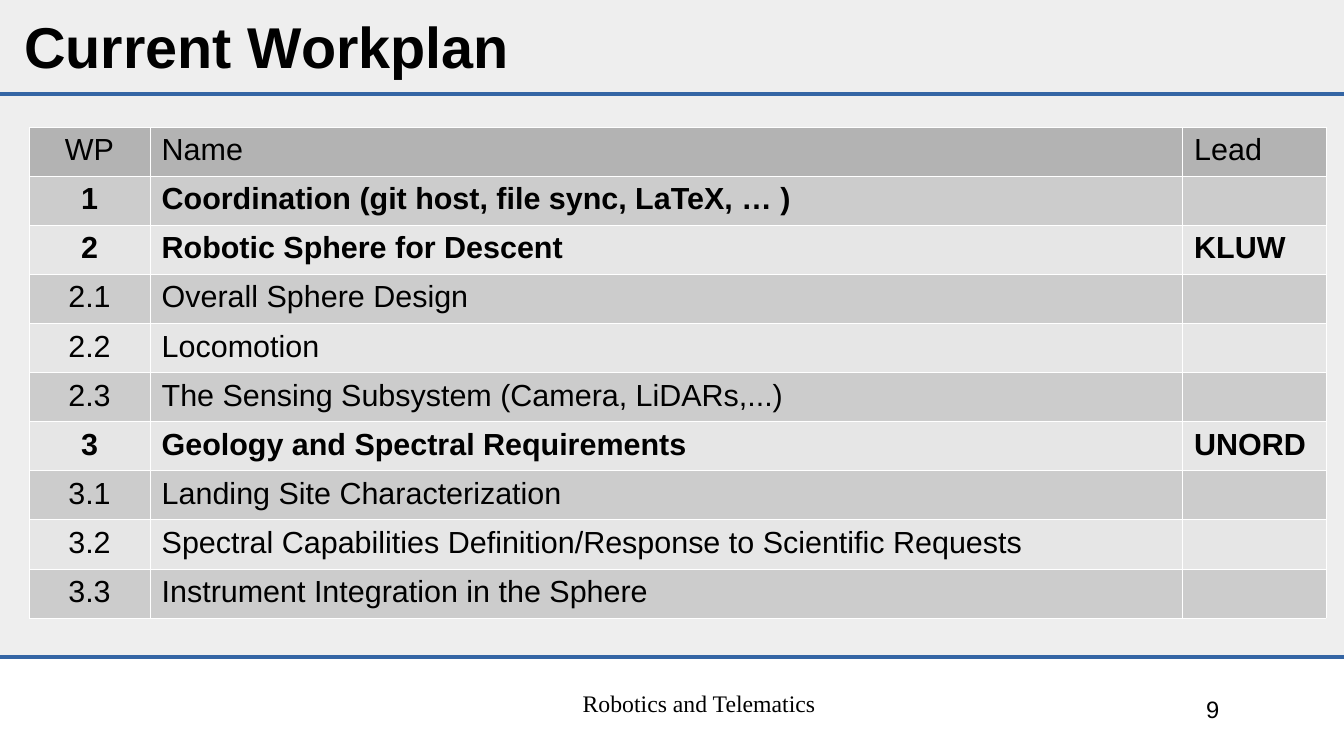
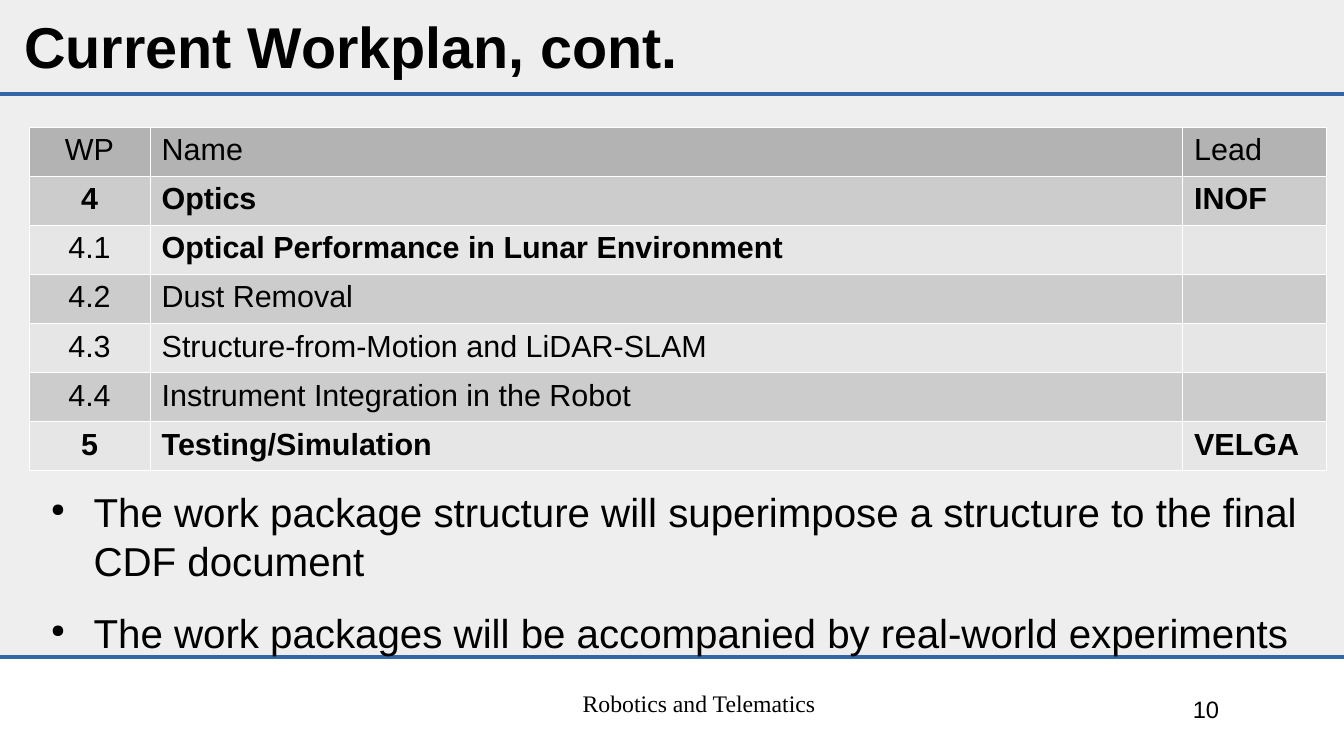
from dataclasses import dataclass
from typing import NamedTuple

from lxml import etree
from pptx import Presentation
from pptx.dml.color import RGBColor
from pptx.enum.shapes import MSO_CONNECTOR, MSO_SHAPE
from pptx.enum.text import MSO_ANCHOR, PP_ALIGN
from pptx.oxml.ns import qn
from pptx.util import Cm, Pt

LEFT, MID, RIGHT = PP_ALIGN.LEFT, PP_ALIGN.CENTER, PP_ALIGN.RIGHT
TOP, CENTER = MSO_ANCHOR.TOP, MSO_ANCHOR.MIDDLE
RECT, LINE = MSO_SHAPE.RECTANGLE, MSO_CONNECTOR.STRAIGHT


@dataclass(frozen=True)
class Theme:
    back: str = "EEEEEE"
    white: str = "FFFFFF"
    ink: str = "000000"
    rule: str = "3465A4"
    head: str = "B3B3B3"
    bands: tuple[str, str] = ("CCCCCC", "E6E6E6")
    sans: str = "Arial"
    serif: str = "Times New Roman"
    title: float = 34
    body: float = 23.8
    lead: float = 28.5
    gap: float = 14.2
    cell: float = 18
    foot: float = 14
    edge: float = 0.06


class Box(NamedTuple):
    left: float
    top: float
    width: float
    height: float


class Work(NamedTuple):
    code: str
    name: str
    lead: str = ""
    strong: bool = False  # bold name on a minor row


class Page(NamedTuple):
    number: int
    title: str
    works: list[Work]
    points: list[str]


# Layout in centimetres
THEME = Theme()
WIDE, HIGH = 28, 15.75
BAND = Box(0, 13.72, WIDE, 2.03)
RULES = (13.69, 1.96)
TITLE = Box(0.51, 0, 27.18, 1.88)
FOOT = Box(11.89, 14.22, 5.38, 0.79)
COUNT = Box(22.86, 14.35, 2.79, 0.76)
BODY = Box(0.76, 10.16, 26.67, 3.3)
GRID = (0.61, 2.64)
COLS = (2.51, 21.51, 3)
ROW = 1.02
PAD = (0.25, 0.13)

PAGES = [
    Page(9, "Current Workplan", [
        Work("1", "Coordination (git host, file sync, LaTeX, … )"),
        Work("2", "Robotic Sphere for Descent", "KLUW"),
        Work("2.1", "Overall Sphere Design"),
        Work("2.2", "Locomotion"),
        Work("2.3", "The Sensing Subsystem (Camera, LiDARs,...)"),
        Work("3", "Geology and Spectral Requirements", "UNORD"),
        Work("3.1", "Landing Site Characterization"),
        Work("3.2", "Spectral Capabilities Definition/Response to Scientific Requests"),
        Work("3.3", "Instrument Integration in the Sphere"),
    ], []),
    Page(10, "Current Workplan, cont.", [
        Work("4", "Optics", "INOF"),
        Work("4.1", "Optical Performance in Lunar Environment", strong=True),
        Work("4.2", "Dust Removal"),
        Work("4.3", "Structure-from-Motion and LiDAR-SLAM"),
        Work("4.4", "Instrument Integration in the Robot"),
        Work("5", "Testing/Simulation", "VELGA"),
    ], [
        "The work package structure will superimpose a structure to the final CDF document",
        "The work packages will be accompanied by real-world experiments",
    ]),
]


def tint(code: str) -> RGBColor:
    return RGBColor.from_string(code)


def add_run(para, text: str, size: float, font: str = THEME.sans,
            bold: bool = False) -> None:
    run = para.add_run()
    run.text = text
    run.font.size = Pt(size)
    run.font.name = font
    run.font.bold = bold
    run.font.color.rgb = tint(THEME.ink)


def add_box(slide, box: Box, pad: tuple[float, float] = (0, 0),
            wrap: bool = True, anchor=TOP):
    frame = slide.shapes.add_textbox(*map(Cm, box)).text_frame
    frame.margin_left = frame.margin_right = Cm(pad[0])
    frame.margin_top = frame.margin_bottom = Cm(pad[1])
    frame.word_wrap = wrap
    frame.vertical_anchor = anchor
    return frame


def add_rule(slide, top: float) -> None:
    rule = slide.shapes.add_connector(LINE, Cm(0), Cm(top), Cm(WIDE), Cm(top))
    rule.line.color.rgb = tint(THEME.rule)
    rule.line.width = Pt(0)
    etree.SubElement(rule._element.spPr, qn("a:effectLst"))


def add_frame(slide, page: Page) -> None:
    """Draw the band, rules, footer and title that all slides share."""
    slide.background.fill.solid()
    slide.background.fill.fore_color.rgb = tint(THEME.back)
    band = slide.shapes.add_shape(RECT, *map(Cm, BAND))
    band.shadow.inherit = False
    band.fill.solid()
    band.fill.fore_color.rgb = tint(THEME.white)
    band.line.fill.background()
    for top in RULES:
        add_rule(slide, top)

    foot = add_box(slide, FOOT, PAD, wrap=False).paragraphs[0]
    add_run(foot, "Robotics and Telematics", THEME.foot, THEME.serif)
    count = add_box(slide, COUNT, PAD).paragraphs[0]
    count.alignment = RIGHT
    add_run(count, str(page.number), THEME.foot)
    title = add_box(slide, TITLE, anchor=CENTER).paragraphs[0]
    add_run(title, page.title, THEME.title, bold=True)


def set_cell(cell, text: str, fill: str, align, bold: bool) -> None:
    cell.margin_left = cell.margin_right = Cm(PAD[0])
    cell.margin_top = cell.margin_bottom = Cm(PAD[1] if text else 0)
    props = cell._tc.get_or_add_tcPr()
    for side in ("lnL", "lnR", "lnT", "lnB"):
        edge = etree.SubElement(props, qn(f"a:{side}"), w=str(Pt(THEME.edge)))
        paint = etree.SubElement(edge, qn("a:solidFill"))
        etree.SubElement(paint, qn("a:srgbClr"), val=THEME.white)
    cell.fill.solid()
    cell.fill.fore_color.rgb = tint(fill)
    if text:
        para = cell.text_frame.paragraphs[0]
        para.alignment = align
        add_run(para, text, THEME.cell, bold=bold)


def add_grid(slide, works: list[Work]) -> None:
    size = len(works) + 1
    spot = Box(*GRID, sum(COLS), ROW * size)
    table = slide.shapes.add_table(size, len(COLS), *map(Cm, spot)).table
    table.first_row = table.horz_banding = False
    for col, width in zip(table.columns, COLS):
        col.width = Cm(width)
    for i, work in enumerate([Work("WP", "Name", "Lead"), *works]):
        table.rows[i].height = Cm(ROW)
        fill = THEME.bands[(i - 1) % 2] if i else THEME.head
        main = i > 0 and "." not in work.code
        parts = ((work.code, MID, main),
                 (work.name, LEFT, main or work.strong),
                 (work.lead, LEFT, main))
        for j, (text, align, bold) in enumerate(parts):
            set_cell(table.cell(i, j), text, fill, align, bold)


def add_points(slide, points: list[str]) -> None:
    frame = add_box(slide, BODY)
    for i, text in enumerate(points):
        para = frame.add_paragraph() if i else frame.paragraphs[0]
        para.space_before = Pt(THEME.gap)
        para.line_spacing = Pt(THEME.lead)
        props = para._p.get_or_add_pPr()
        props.set("marL", str(Cm(1.19)))
        props.set("indent", str(Cm(-0.89)))
        paint = etree.SubElement(props, qn("a:buClr"))
        etree.SubElement(paint, qn("a:srgbClr"), val=THEME.ink)
        etree.SubElement(props, qn("a:buSzPct"), val="45000")
        etree.SubElement(props, qn("a:buChar"), char="●")
        add_run(para, text, THEME.body)


def main() -> None:
    deck = Presentation()
    deck.slide_width, deck.slide_height = Cm(WIDE), Cm(HIGH)
    blank = deck.slide_layouts[6]
    for page in PAGES:
        slide = deck.slides.add_slide(blank)
        add_frame(slide, page)
        add_grid(slide, page.works)
        if page.points:
            add_points(slide, page.points)
    deck.save("out.pptx")


if __name__ == "__main__":
    main()
